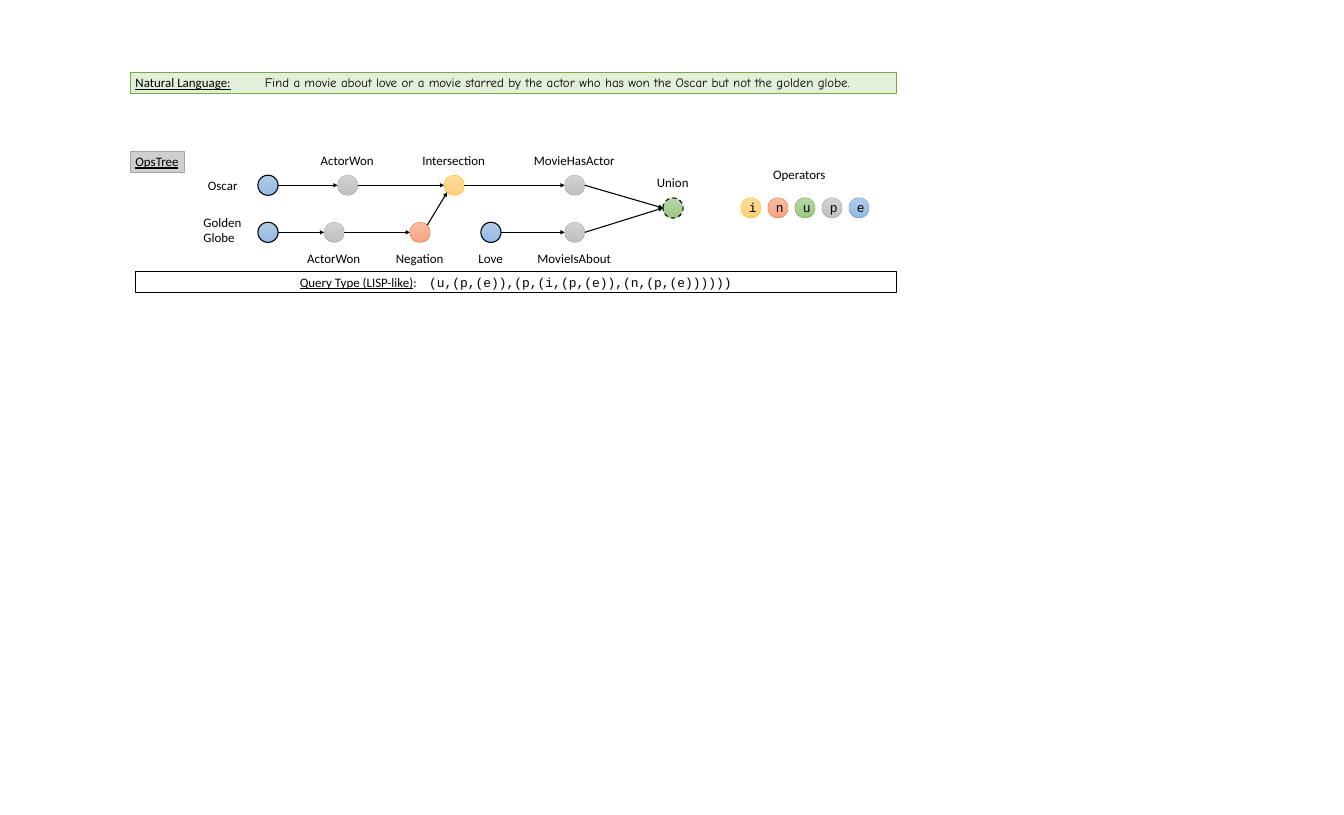
import math

from lxml import etree
from pptx import Presentation
from pptx import util as u
from pptx.dml.color import RGBColor
from pptx.enum import dml, shapes, text
from pptx.oxml.ns import qn

# Grid: one cell is one inch
COLUMNS, ROWS = 25.98, 15.75
NODE = 0.39
LINE_HEIGHT = 0.4

COLORS = {
    "text": "000000", "white": "FFFFFF",
    "question": "E2F0D9", "question_line": "70AD47",
    "tag": "D0CECE", "tag_line": "A5A5A5",
}
# Operator letter: gradient start, gradient end, outline
OPERATORS = {
    "i": ("FFDB9E", "FFD07C", "FFC000"),
    "n": ("F7BDA5", "F8A582", "ED7D31"),
    "u": ("B5D5A7", "9CC987", "70AD47"),
    "p": ("D2D2D2", "C0C0C0", "A5A5A5"),
    "e": ("B1CBE9", "93B9E4", "5B9BD5"),
}


def cells(*lengths):
    return [u.Inches(length) for length in lengths]


def rgb(value):
    return RGBColor.from_string(value)


def style_font(font, name="Calibri", underline=None):
    font.name = name
    font.size = u.Pt(18)
    font.color.rgb = rgb(COLORS["text"])
    font.underline = underline


def add_panel(slide, box, fill, line, weight):
    panel = slide.shapes.add_shape(shapes.MSO_SHAPE.RECTANGLE, *cells(*box))
    panel.shadow.inherit = False
    panel.fill.solid()
    panel.fill.fore_color.rgb = rgb(COLORS[fill])
    panel.line.color.rgb = rgb(COLORS[line])
    panel.line.width = u.Pt(weight)
    panel.text_frame.vertical_anchor = text.MSO_ANCHOR.TOP
    panel.text_frame.auto_size = text.MSO_AUTO_SIZE.SHAPE_TO_FIT_TEXT
    return panel


def add_runs(paragraph, runs):
    for words, name, underline in runs:
        run = paragraph.add_run()
        run.text = words
        style_font(run.font, name, underline)


def add_label(parent, words, center, top, width):
    """Text box centred on a column; each line of words is a paragraph."""
    lines = words.split("\n")
    height = LINE_HEIGHT + 0.31 * (len(lines) - 1)
    label = parent.shapes.add_textbox(*cells(center - width / 2, top, width, height))
    frame = label.text_frame
    frame.word_wrap = False
    frame.auto_size = text.MSO_AUTO_SIZE.SHAPE_TO_FIT_TEXT
    frame.text = words
    for paragraph in frame.paragraphs:
        style_font(paragraph.font)


def add_node(parent, operator, x, y, outline=None, dashed=False):
    """Circle centred on x, y in the colours of its operator."""
    start, end, line = OPERATORS[operator]
    node = parent.shapes.add_shape(
        shapes.MSO_SHAPE.OVAL, *cells(x - NODE / 2, y - NODE / 2, NODE, NODE))
    node.shadow.inherit = False
    node.fill.gradient()
    node.fill.gradient_angle = 270
    for stop, color in zip(node.fill.gradient_stops, (start, end)):
        stop.color.rgb = rgb(color)
    node.line.color.rgb = rgb(outline or line)
    node.line.width = u.Pt(1.5 if outline else 0.5)
    if dashed:
        node.line.dash_style = dml.MSO_LINE.DASH
    return node


def add_arrow(parent, start, end):
    arrow = parent.shapes.add_connector(
        shapes.MSO_CONNECTOR.STRAIGHT, *cells(*start, *end))
    arrow.line.color.rgb = rgb(COLORS["text"])
    arrow.line.width = u.Pt(1.5)
    etree.SubElement(arrow.line._get_or_add_ln(), qn("a:tailEnd"), type="triangle")
    etree.SubElement(arrow._element.spPr, qn("a:effectLst"))


def add_question(slide, box):
    panel = add_panel(slide, box, "question", "question_line", 0.5)
    paragraph = panel.text_frame.paragraphs[0]
    paragraph.alignment = text.PP_ALIGN.LEFT
    tabs = etree.SubElement(paragraph._p.get_or_add_pPr(), qn("a:tabLst"))
    etree.SubElement(tabs, qn("a:tab"), pos=str(u.Inches(2.5)), algn="l")
    add_runs(paragraph, [
        ("Natural Language:", "Calibri", True),
        ("\t", "Calibri", False),
        ("Find a movie about love or a movie starred by the actor who has won "
         "the Oscar but not the golden globe.", "Comic Neue", False),
    ])


def add_tree_tag(slide, box):
    panel = add_panel(slide, box, "tag", "tag_line", 0.5)
    panel.text_frame.word_wrap = False
    paragraph = panel.text_frame.paragraphs[0]
    paragraph.text = "OpsTree"
    paragraph.alignment = text.PP_ALIGN.LEFT
    style_font(paragraph.font, underline=True)


def add_tree(slide, box):
    left, top = box[:2]
    upper, middle, lower = 0.68, 1.12, 1.59
    above, below = -0.69, 0.31
    black = COLORS["text"]
    # Key: operator, column, row, label, label width, label offset
    nodes = {
        "oscar": ("e", 1.38, upper, None, 0, 0),
        "globe": ("e", 1.38, lower, None, 0, 0),
        "won oscar": ("p", 2.92, upper, "ActorWon", 1.24, above),
        "won globe": ("p", 2.66, lower, "ActorWon", 1.24, below),
        "negation": ("n", 4.32, lower, "Negation", 1.13, below),
        "intersection": ("i", 4.98, upper, "Intersection", 1.43, above),
        "has actor": ("p", 7.31, upper, "MovieHasActor", 1.78, above),
        "love": ("e", 5.69, lower, "Love", 0.68, below),
        "is about": ("p", 7.31, lower, "MovieIsAbout", 1.64, below),
        "union": ("u", 9.21, middle, "Union", 0.82, above),
    }
    edges = [
        ("oscar", "won oscar"), ("won oscar", "intersection"),
        ("intersection", "has actor"), ("has actor", "union"),
        ("globe", "won globe"), ("won globe", "negation"),
        ("love", "is about"), ("is about", "union"),
    ]
    tree = slide.shapes.add_group_shape()
    centers = {}

    # Nodes with their labels
    for key, (operator, column, row, words, width, offset) in nodes.items():
        x, y = centers[key] = left + column, top + row
        outline = black if operator in "eu" else None
        add_node(tree, operator, x, y, outline, dashed=operator == "u")
        if words:
            add_label(tree, words, x, y + offset, width)

    # Names of the starting entities
    add_label(tree, "Oscar", left + 0.51, top + upper - 0.2, 0.78)
    add_label(tree, "Golden\nGlobe", left + 0.51, top + lower - 0.4, 0.95)

    # Arrows from right side to left side
    radius = NODE / 2
    for source, target in edges:
        (x1, y1), (x2, y2) = centers[source], centers[target]
        add_arrow(tree, (x1 + radius, y1), (x2 - radius, y2))

    # Diagonal arrow between the corners of two circles
    corner = radius * math.cos(math.pi / 4)
    (x1, y1), (x2, y2) = centers["negation"], centers["intersection"]
    add_arrow(tree, (x1 + corner, y1 - corner), (x2 - corner, y2 + corner))


def add_legend(slide, box):
    left, top, width, height = box
    pitch = (width - NODE) / (len(OPERATORS) - 1)
    add_label(slide, "Operators", left + 1.14, top, 1.23)
    for index, letter in enumerate(OPERATORS):
        x = left + NODE / 2 + index * pitch
        node = add_node(slide, letter, x, top + height - NODE / 2)
        node.text_frame.vertical_anchor = text.MSO_ANCHOR.MIDDLE
        paragraph = node.text_frame.paragraphs[0]
        paragraph.text = letter
        paragraph.alignment = text.PP_ALIGN.CENTER
        style_font(paragraph.font, "Courier New")


def add_query(slide, box):
    panel = add_panel(slide, box, "white", "text", 1)
    paragraph = panel.text_frame.paragraphs[0]
    paragraph.alignment = text.PP_ALIGN.CENTER
    add_runs(paragraph, [
        ("Query Type (LISP-like)", "Calibri", True),
        (": \t", "Calibri", False),
        ("(u,(p,(e)),(p,(i,(p,(e)),(n,(p,(e))))))", "Courier New", False),
    ])


def main():
    presentation = Presentation()
    presentation.slide_width, presentation.slide_height = cells(COLUMNS, ROWS)
    slide = presentation.slides.add_slide(presentation.slide_layouts[6])
    add_question(slide, (2.52, 1.4, 14.81, LINE_HEIGHT))
    add_tree_tag(slide, (2.52, 2.92, 1.04, LINE_HEIGHT))
    add_tree(slide, (3.8, 2.9, 9.6, 2.3))
    add_query(slide, (2.61, 5.25, 14.72, LINE_HEIGHT))
    add_legend(slide, (14.32, 3.17, 2.48, 1.04))
    presentation.save("out.pptx")


if __name__ == "__main__":
    main()
